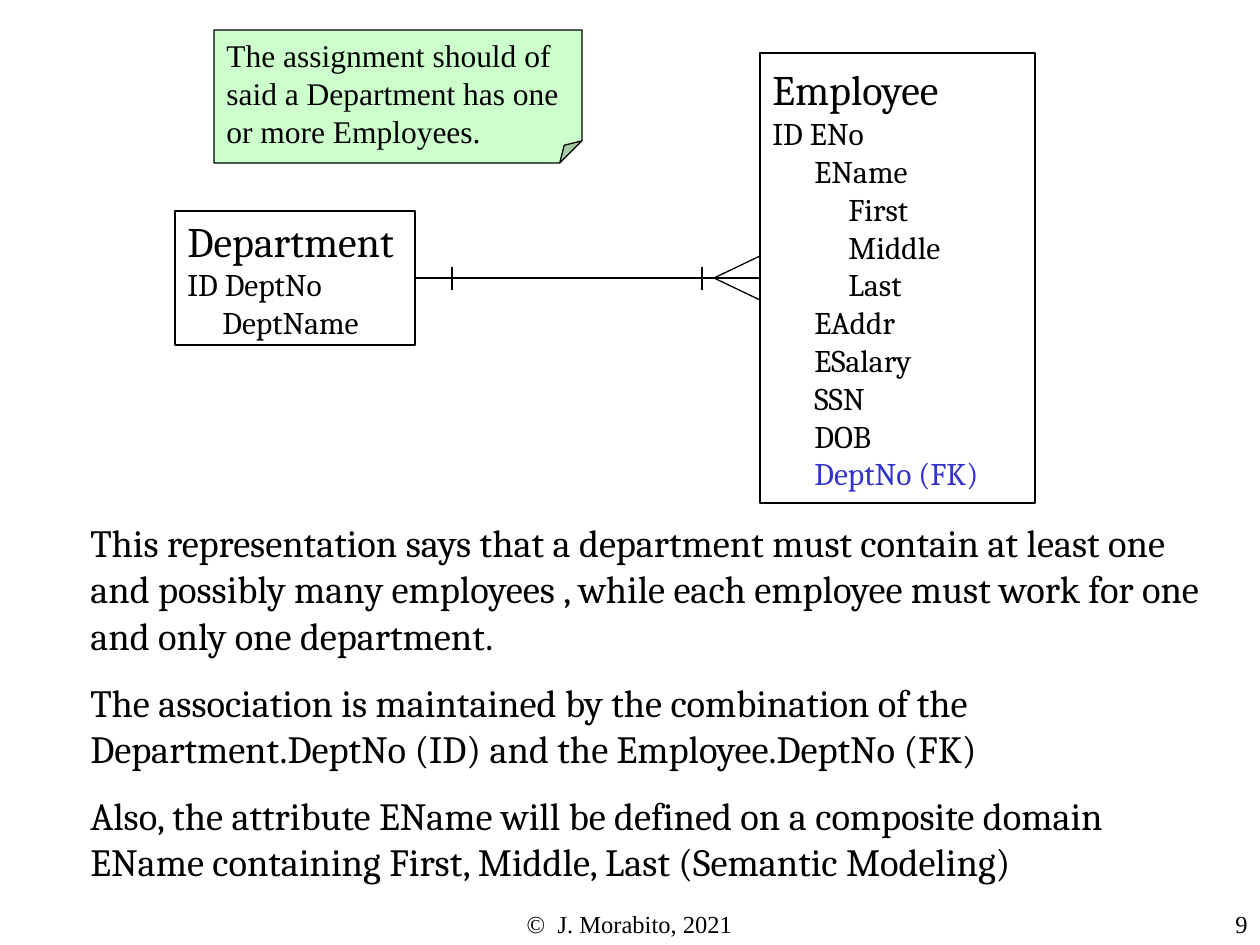
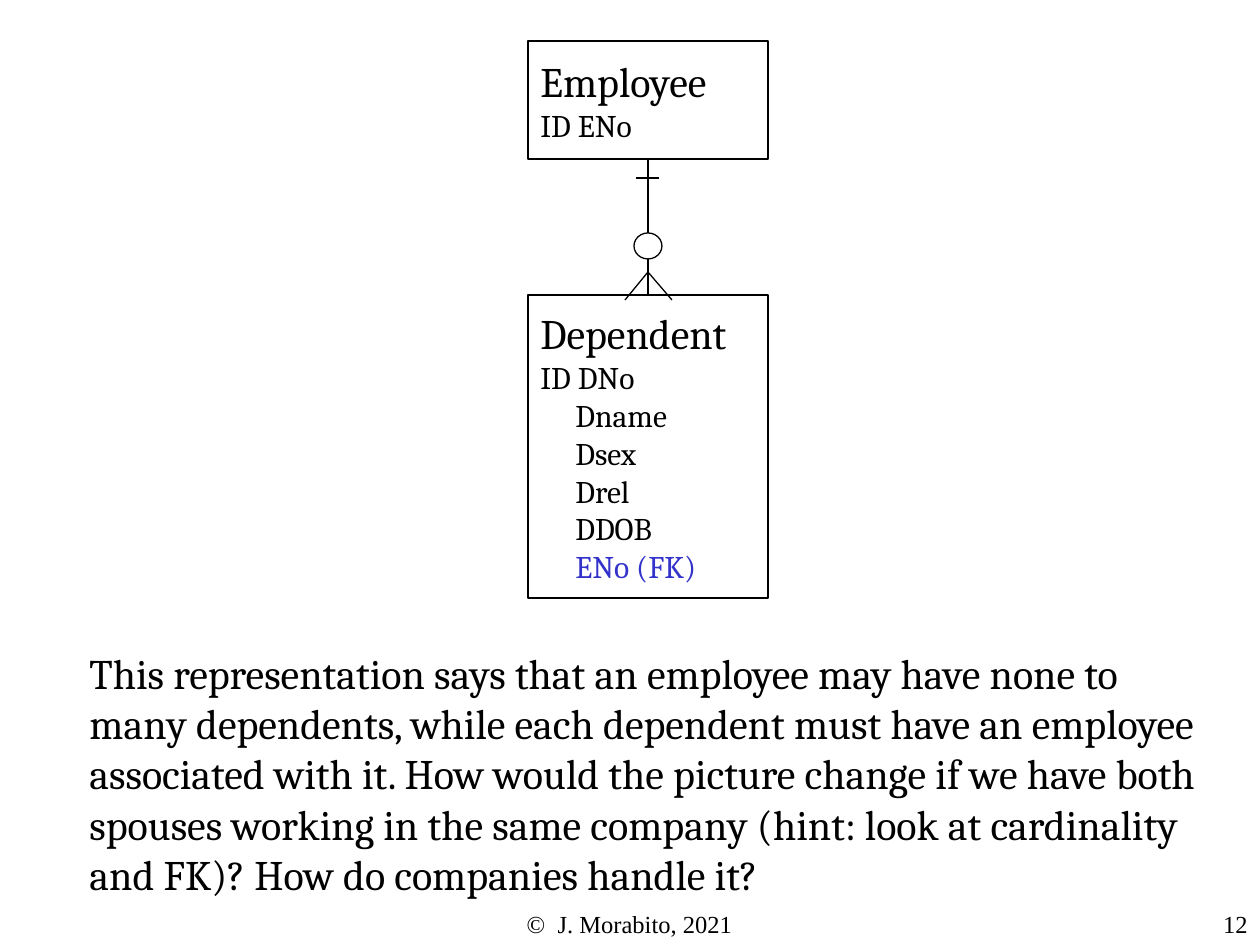
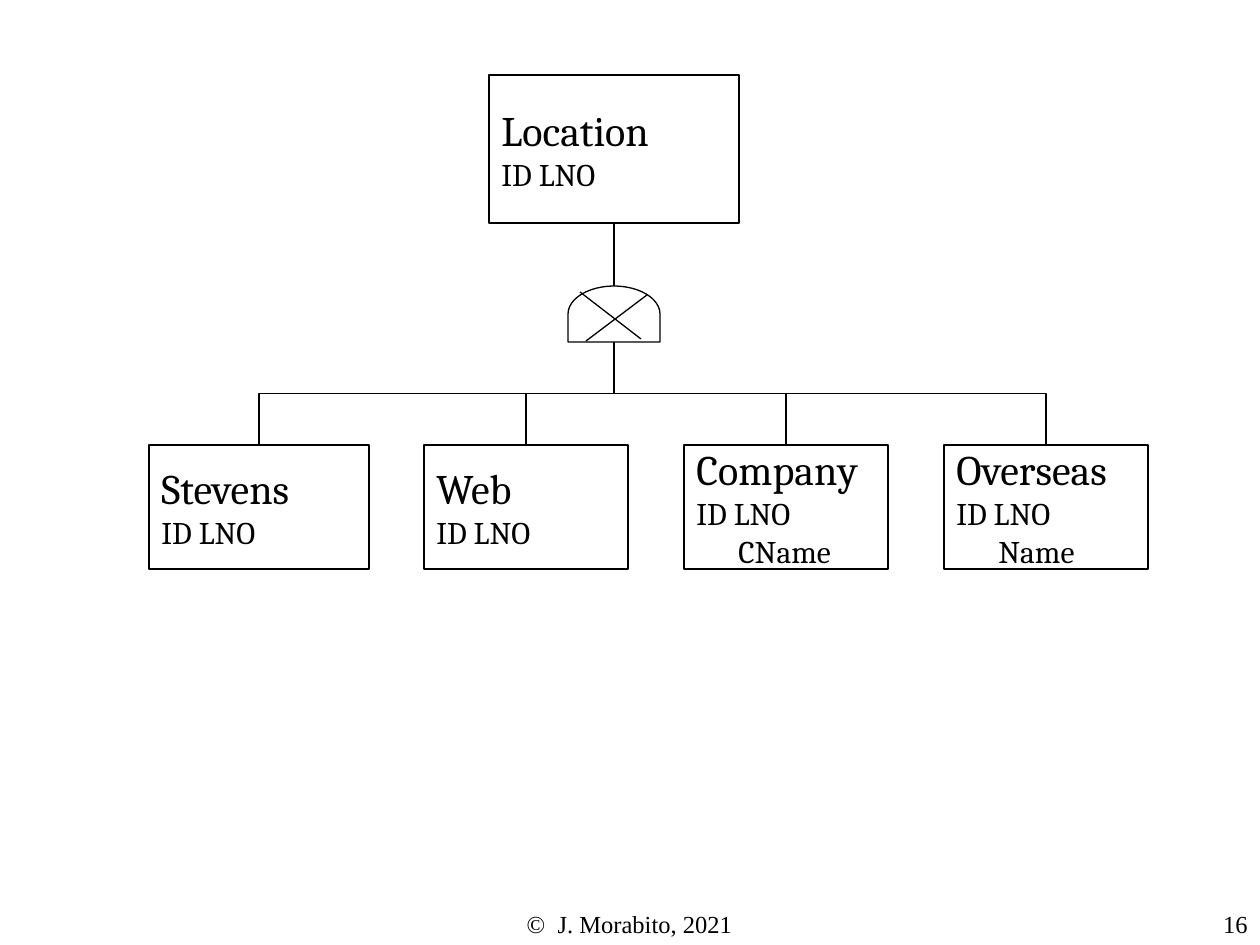
from pptx import Presentation
from pptx.dml.color import RGBColor
from pptx.enum.shapes import MSO_CONNECTOR, MSO_SHAPE
from pptx.enum.text import MSO_ANCHOR, PP_ALIGN
from pptx.oxml.ns import qn
from pptx.util import Pt
from lxml import etree

# Shared scale, colours and fonts
EMU_PER_PX = 914400 / 126
BLACK, WHITE, BLUE, GREEN = "000000", "FFFFFF", "3333CC", "CCFFCC"
ENTITY_FONT, NOTE_FONT = "Cambria", "Times New Roman"
LINE_WIDTH = Pt(0.75)
TOP, LEFT, BOTTOM, RIGHT = 0, 1, 2, 3

# Indents of attribute names, in px
SHORT_INDENT, INDENT, DEEP_INDENT = 35, 42, 76


def px(length):
    return round(length * EMU_PER_PX)


def colour(hex_string):
    return RGBColor.from_string(hex_string)


def write_paragraph(frame, text, size, font_name, first=False, text_colour=BLACK,
                    alignment=PP_ALIGN.LEFT, indent=0, space_before=0):
    paragraph = frame.paragraphs[0] if first else frame.add_paragraph()
    paragraph.text = text
    paragraph.alignment = alignment
    if indent:
        paragraph._p.get_or_add_pPr().set("marL", str(px(indent)))
    if space_before:
        paragraph.space_before = Pt(space_before)
    paragraph.font.size = Pt(size)
    paragraph.font.name = font_name
    paragraph.font.color.rgb = colour(text_colour)


def add_text(slide, box, paragraphs, size, font_name, alignment=PP_ALIGN.LEFT, gap=0):
    frame = slide.shapes.add_textbox(*map(px, box)).text_frame
    frame.word_wrap = True
    for index, text in enumerate(paragraphs):
        write_paragraph(frame, text, size, font_name, index == 0, alignment=alignment,
                        space_before=gap if index else 0)


def add_outline(slide, kind, box, fill=None):
    shape = slide.shapes.add_shape(kind, *map(px, box))
    shape.shadow.inherit = False
    if fill:
        shape.fill.solid()
        shape.fill.fore_color.rgb = colour(fill)
    else:
        shape.fill.background()
    shape.line.color.rgb = colour(BLACK)
    shape.line.width = LINE_WIDTH
    return shape


def add_entity(slide, box, name, identifier, attributes=()):
    """Attributes are (text, indent) pairs; foreign keys are blue."""
    shape = add_outline(slide, MSO_SHAPE.RECTANGLE, box)
    frame = shape.text_frame
    frame.word_wrap = True
    frame.vertical_anchor = MSO_ANCHOR.MIDDLE
    write_paragraph(frame, name, 24, ENTITY_FONT, first=True)
    write_paragraph(frame, identifier, 18, ENTITY_FONT)
    for text, indent in attributes:
        text_colour = BLUE if text.endswith("(FK)") else BLACK
        write_paragraph(frame, text, 18, ENTITY_FONT, text_colour=text_colour, indent=indent)
    return shape


def add_note(slide, box, text):
    shape = add_outline(slide, MSO_SHAPE.FOLDED_CORNER, box, GREEN)
    frame = shape.text_frame
    frame.word_wrap = True
    frame.vertical_anchor = MSO_ANCHOR.TOP
    write_paragraph(frame, text, 18, NOTE_FONT, first=True)


def add_line(slide, x1, y1, x2, y2, kind=MSO_CONNECTOR.STRAIGHT):
    connector = slide.shapes.add_connector(kind, px(x1), px(y1), px(x2), px(y2))
    connector.line.color.rgb = colour(BLACK)
    connector.line.width = LINE_WIDTH
    etree.SubElement(connector._element.spPr, qn("a:effectLst"))
    return connector


def add_branch(slide, child_x, child_y, parent_x, parent_y):
    """Elbow that leaves the child upwards: a level elbow turned by 270 degrees."""
    middle_x, middle_y = (child_x + parent_x) / 2, (child_y + parent_y) / 2
    half_rise, half_run = (child_y - parent_y) / 2, (child_x - parent_x) / 2
    connector = add_line(slide, middle_x - half_rise, middle_y + half_run,
                         middle_x + half_rise, middle_y - half_run, MSO_CONNECTOR.ELBOW)
    connector._element.spPr.find(qn("a:xfrm")).set("rot", str(270 * 60000))


def add_footer(slide, number):
    add_text(slide, (430, 903, 399, 32), ["©  J. Morabito, 2021"], 14, NOTE_FONT,
             PP_ALIGN.CENTER)
    add_text(slide, (1081, 903, 179, 42), [str(number)], 14, NOTE_FONT, PP_ALIGN.RIGHT)


def add_slide(presentation, number):
    slide = presentation.slides.add_slide(presentation.slide_layouts[6])
    add_footer(slide, number)
    return slide


def build_department_slide(presentation):
    slide = add_slide(presentation, 9)
    add_text(slide, (78, 513, 1147, 425), [
        "This representation says that a department must contain at least one and possibly "
        "many employees , while each employee must work for one and only one department.",
        "The association is maintained by the combination of the Department.DeptNo (ID) "
        "and the Employee.DeptNo (FK)",
        "Also, the attribute EName will be defined on a composite domain EName containing "
        "First, Middle, Last (Semantic Modeling)",
    ], 22, ENTITY_FONT, gap=12)
    employee = add_entity(slide, (760, 53, 275, 450), "Employee", "ID ENo", [
        ("EName", INDENT), ("First", DEEP_INDENT), ("Middle", DEEP_INDENT),
        ("Last", DEEP_INDENT), ("EAddr", INDENT), ("ESalary", INDENT),
        ("SSN", INDENT), ("DOB", INDENT), ("DeptNo (FK)", INDENT),
    ])
    department = add_entity(slide, (175, 211, 240, 134), "Department", "ID DeptNo",
                            [("DeptName", SHORT_INDENT)])

    # One department to one or many employees
    for end_y in (300, 256):
        add_line(slide, 714, 278, 760, end_y)
    for bar_x in (702, 452):
        add_line(slide, bar_x, 267, bar_x, 290)
    relation = add_line(slide, 415, 278, 760, 278)
    relation.begin_connect(department, RIGHT)
    relation.end_connect(employee, LEFT)
    add_note(slide, (214, 30, 368, 133),
             "The assignment should of said a Department has one or more Employees.")


def build_dependent_slide(presentation):
    slide = add_slide(presentation, 12)
    employee = add_entity(slide, (528, 41, 240, 118), "Employee", "ID ENo")
    names = ["Dname", "Dsex", "Drel", "DDOB", "ENo (FK)"]
    dependent = add_entity(slide, (528, 295, 240, 303), "Dependent", "ID DNo",
                           [(name, SHORT_INDENT) for name in names])

    # One employee to none or many dependents
    relation = add_line(slide, 648, 159, 648, 295)
    relation.begin_connect(employee, BOTTOM)
    relation.end_connect(dependent, TOP)
    for end_x in (672, 625):
        add_line(slide, 648, 272, end_x, 300)
    add_line(slide, 659, 178, 636, 178)
    add_outline(slide, MSO_SHAPE.OVAL, (634, 233, 28, 26), WHITE)
    add_text(slide, (77, 641, 1154, 315), [
        "This representation says that an employee may have none to many dependents, while "
        "each dependent must have an employee associated with it. How would the picture "
        "change if we have both spouses working in the same company (hint: look at "
        "cardinality and FK)? How do companies handle it?",
    ], 24, ENTITY_FONT)


def build_location_slide(presentation):
    slide = add_slide(presentation, 16)
    location = add_entity(slide, (489, 75, 250, 148), "Location", "ID LNO")

    # Exclusive subtype gate
    gate = add_outline(slide, MSO_SHAPE.FLOWCHART_DELAY, (586, 268, 56, 92))
    gate.rotation = 270
    add_line(slide, 586, 341, 647, 295)
    add_line(slide, 641, 339, 580, 292)
    stem = add_line(slide, 614, 223, 614, 286)
    stem.begin_connect(location, BOTTOM)

    # Subtypes
    subtypes = [
        ("Stevens", 149, 220, []),
        ("Web", 424, 204, []),
        ("Company", 684, 204, [("CName", INDENT)]),
        ("Overseas", 944, 204, [("Name", INDENT)]),
    ]
    for name, left, width, attributes in subtypes:
        add_entity(slide, (left, 445, width, 124), name, "ID LNO", attributes)
        add_branch(slide, left + width / 2, 445, 614, 342)


def main():
    presentation = Presentation()
    presentation.slide_width, presentation.slide_height = px(1260), px(945)
    build_department_slide(presentation)
    build_dependent_slide(presentation)
    build_location_slide(presentation)
    presentation.save("out.pptx")


if __name__ == "__main__":
    main()
